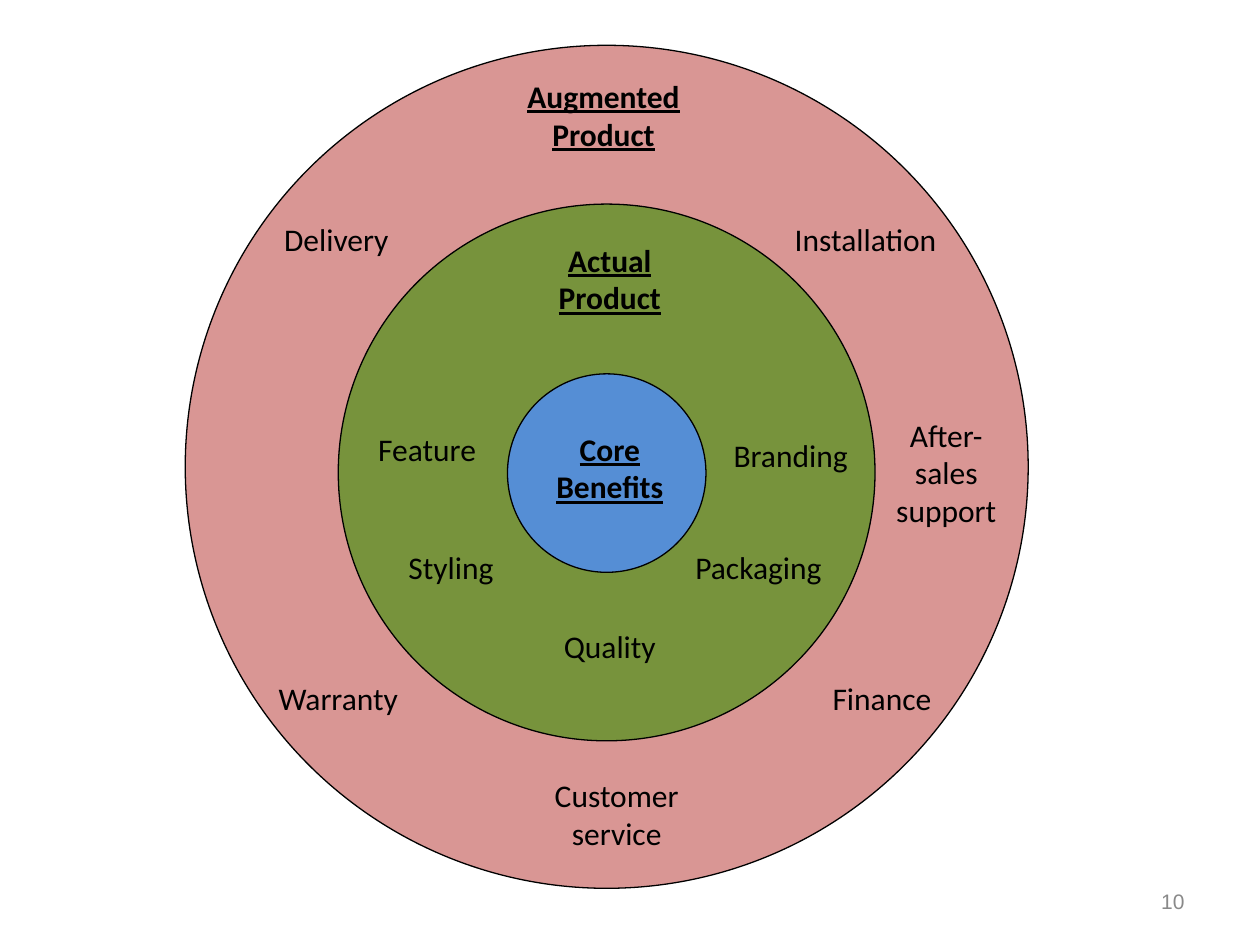
from dataclasses import dataclass

from pptx import Presentation
from pptx.dml.color import RGBColor
from pptx.enum.shapes import MSO_SHAPE
from pptx.enum.text import MSO_ANCHOR, MSO_AUTO_SIZE, PP_ALIGN
from pptx.slide import Slide
from pptx.util import Inches, Pt

ELLIPSE = MSO_SHAPE.OVAL
CENTER, RIGHT = PP_ALIGN.CENTER, PP_ALIGN.RIGHT
TOP, MIDDLE = MSO_ANCHOR.TOP, MSO_ANCHOR.MIDDLE
GROW = MSO_AUTO_SIZE.SHAPE_TO_FIT_TEXT

# The slide is a grid of square cells; all positions count columns and rows.
COLUMNS, ROWS = 100, 75
CELL = Inches(0.1)
PADDING_ROWS, LINE_ROWS = 1, 3.05
BLACK, GREY = "000000", "898989"


@dataclass(frozen=True)
class Ring:
    center_row: float
    diameter: float
    fill: str


@dataclass(frozen=True)
class Label:
    text: str
    column: float
    row: float
    width: float
    lines: int = 1
    heading: bool = False
    size: int = 18
    font: str = "Calibri"
    color: str = BLACK
    alignment: PP_ALIGN = CENTER
    anchor: MSO_ANCHOR = TOP


CENTER_COLUMN = 48.15
RINGS = [
    Ring(37.05, 66.9, "D99694"),
    Ring(37.5, 42.6, "77933C"),
    Ring(37.55, 15.75, "558ED5"),
]
LABELS = [
    Label("Core Benefits", 42.9, 33.6, 11, 2, heading=True),
    Label("Actual Product", 41.3, 18.6, 14.2, 2, heading=True),
    Label("Feature", 28, 33.6, 11.8),
    Label("Branding", 56.7, 34.1, 12.1),
    Label("Styling", 29.5, 43, 12.6),
    Label("Packaging", 53.9, 43, 12.6),
    Label("Quality", 42.9, 49.3, 11),
    Label("Augmented Product", 40.3, 5.6, 15.2, 2, heading=True),
    Label("Delivery", 21, 17, 11.4),
    Label("Warranty", 21, 53.4, 11.7),
    Label("Installation", 62, 17, 13.4),
    Label("Finance", 64.8, 53.4, 10.4),
    Label("Customer service", 40.3, 61.1, 17.3, 2),
    Label("After-sales support", 69.5, 32.5, 11.2, 3),
    Label("10", 71.7, 69.5, 23.3, size=12, font="Arial", color=GREY,
          alignment=RIGHT, anchor=MIDDLE),
]


def cells(count: float) -> int:
    return round(count * CELL)


def rgb(color: str) -> RGBColor:
    return RGBColor.from_string(color)


def draw_ring(slide: Slide, ring: Ring) -> None:
    radius = ring.diameter / 2
    shape = slide.shapes.add_shape(
        ELLIPSE, cells(CENTER_COLUMN - radius), cells(ring.center_row - radius),
        cells(ring.diameter), cells(ring.diameter))
    shape.shadow.inherit = False
    shape.fill.solid()
    shape.fill.fore_color.rgb = rgb(ring.fill)
    shape.line.color.rgb = rgb(BLACK)
    shape.line.width = Pt(0.75)


def draw_label(slide: Slide, label: Label) -> None:
    height = PADDING_ROWS + LINE_ROWS * label.lines
    shape = slide.shapes.add_textbox(
        cells(label.column), cells(label.row), cells(label.width), cells(height))
    frame = shape.text_frame
    frame.word_wrap = True
    frame.vertical_anchor = label.anchor
    if label.anchor == TOP:
        frame.auto_size = GROW
    paragraph = frame.paragraphs[0]
    paragraph.alignment = label.alignment
    run = paragraph.add_run()
    run.text = label.text
    run.font.name = label.font
    run.font.size = Pt(label.size)
    run.font.color.rgb = rgb(label.color)
    if label.heading:
        run.font.bold = True
        run.font.underline = True


def main() -> None:
    presentation = Presentation()
    presentation.slide_width = cells(COLUMNS)
    presentation.slide_height = cells(ROWS)
    slide = presentation.slides.add_slide(presentation.slide_layouts[6])
    for ring in RINGS:
        draw_ring(slide, ring)
    for label in LABELS:
        draw_label(slide, label)
    presentation.save("out.pptx")


if __name__ == "__main__":
    main()
